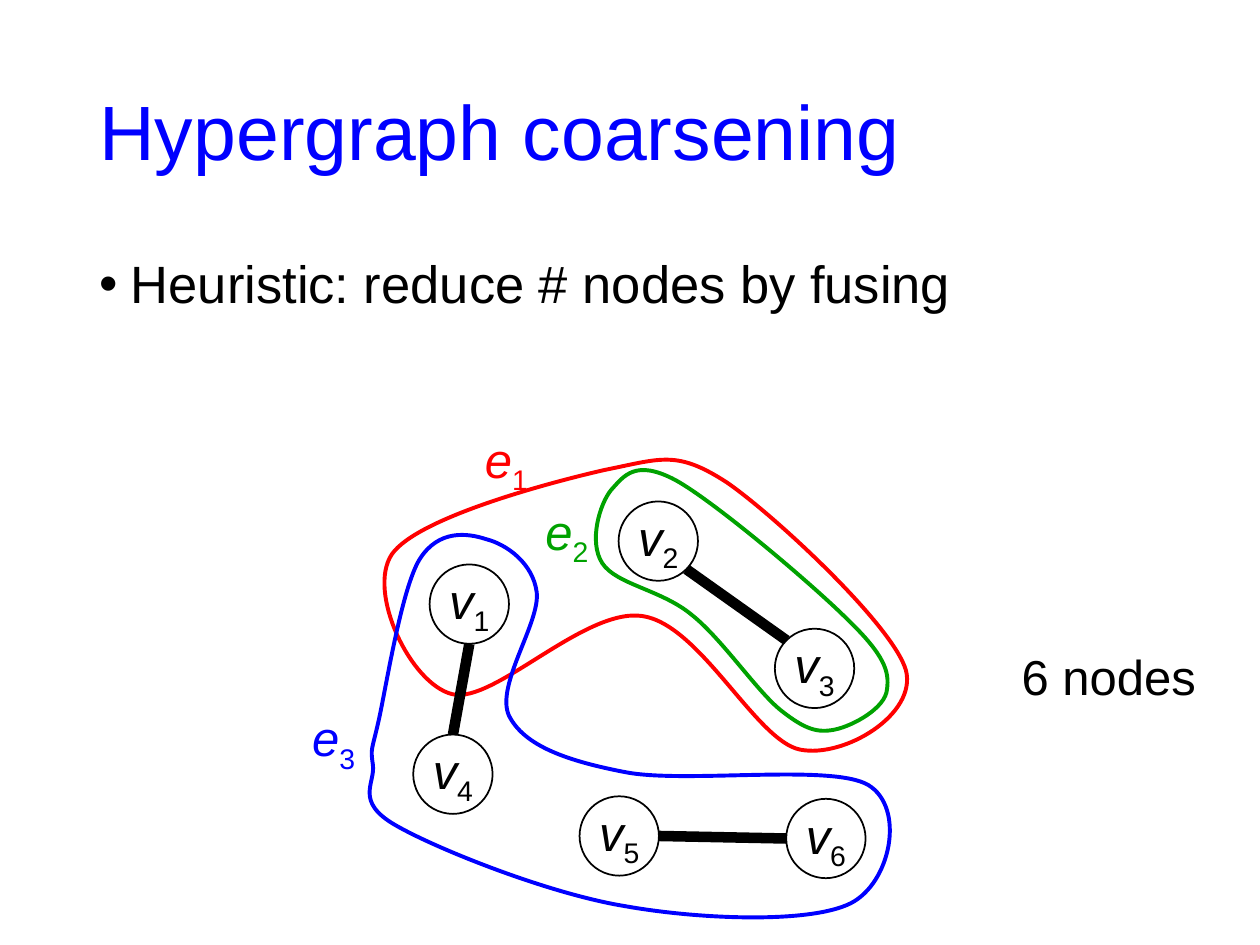
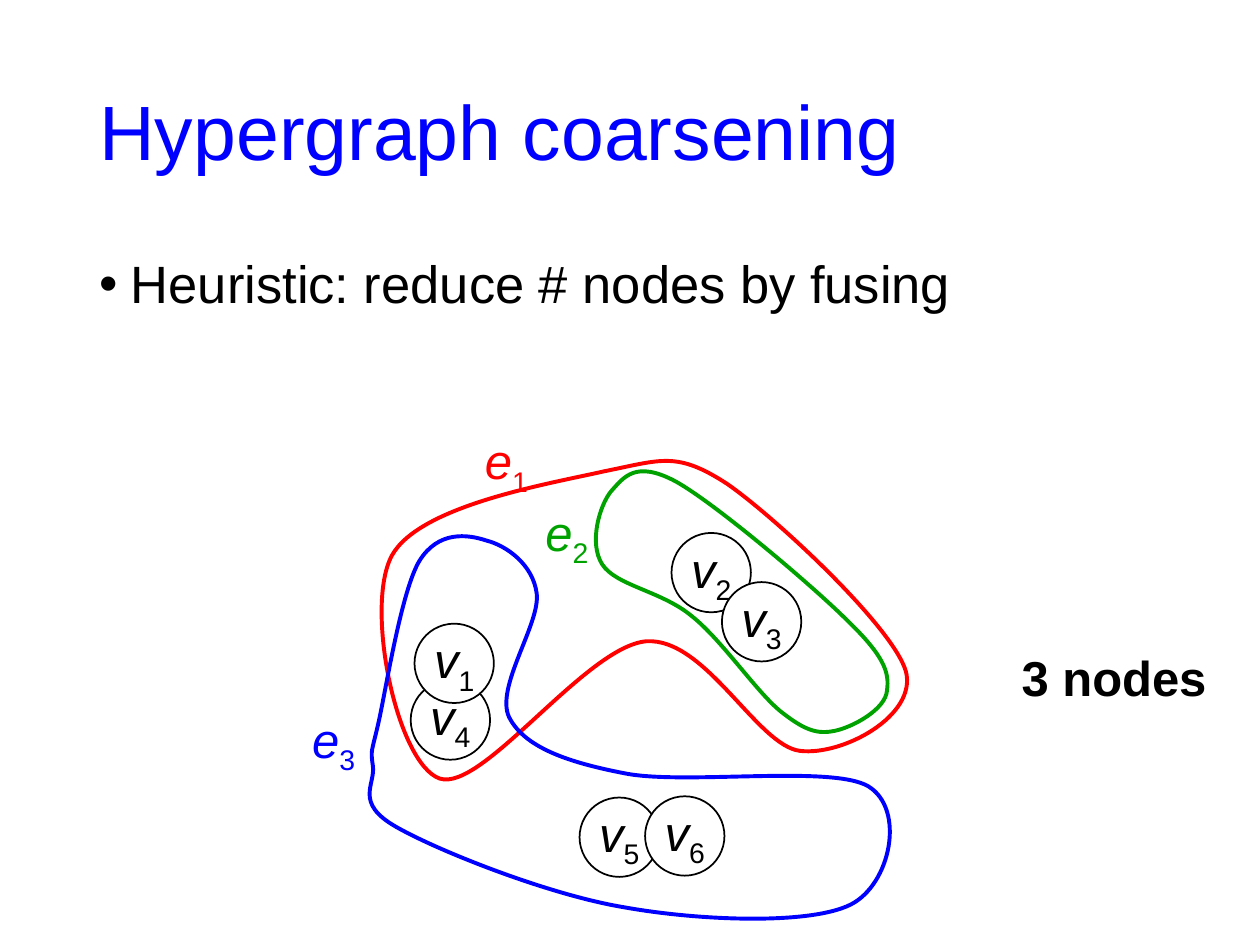
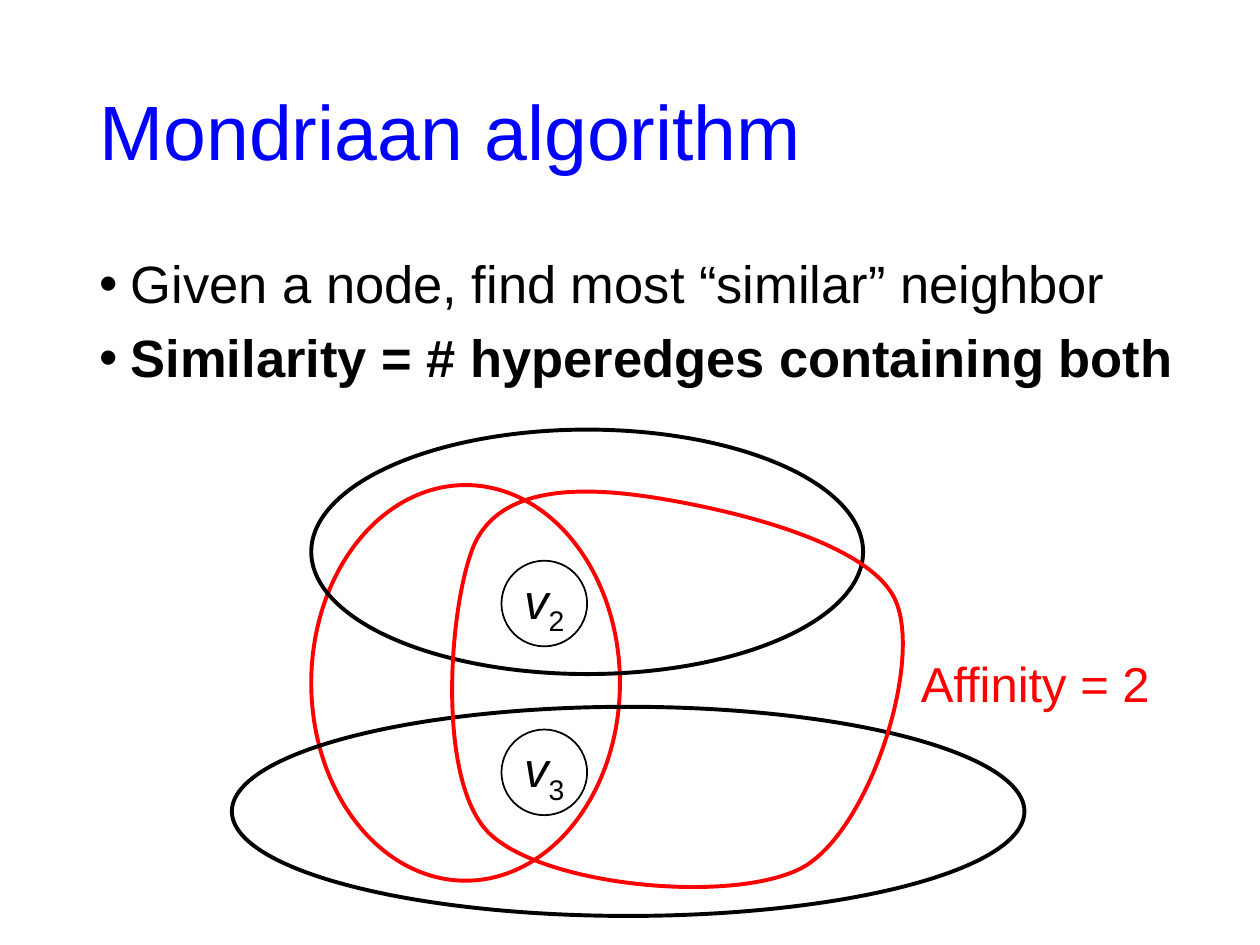
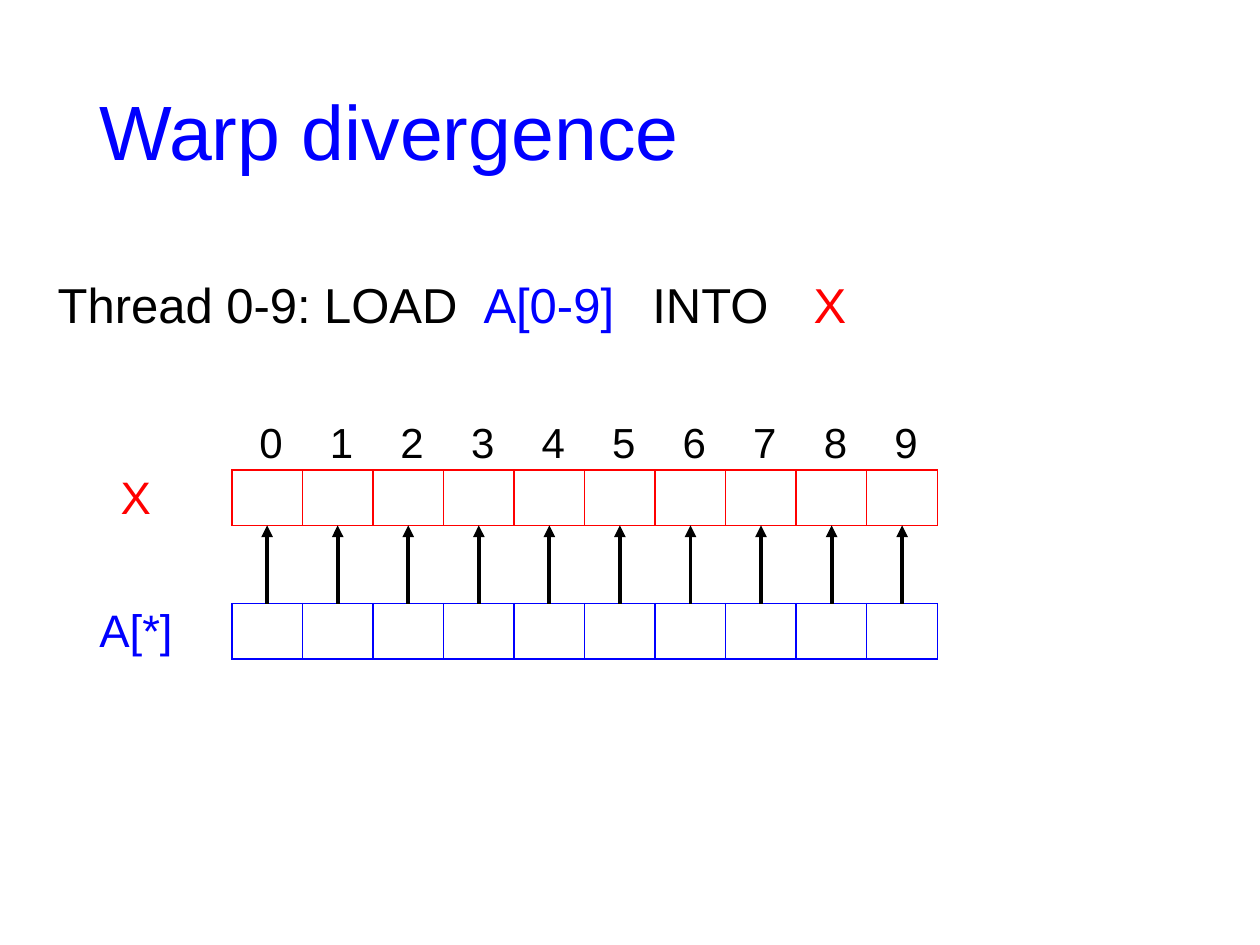
from itertools import chain
from math import cos, radians, sin

from lxml.etree import SubElement
from pptx import Presentation
from pptx.dml.color import RGBColor
from pptx.enum.shapes import MSO_CONNECTOR, MSO_SHAPE
from pptx.enum.text import MSO_ANCHOR, MSO_AUTO_SIZE, PP_ALIGN
from pptx.oxml.ns import qn
from pptx.util import Pt

PX = 9144  # 100 px to the inch
FONT = "Arial"
BLACK, WHITE, RED, GREEN, BLUE = "000000", "FFFFFF", "FF0000", "00A200", "0000FF"
TITLE_BOX = (69, 35, 862, 145)
BODY_LEFT, BODY_TOP, BODY_HEIGHT = 69, 200, 476
OUTLINE, THIN, THICK = 2.25, 1, 6

# A curve is its start, then (control, control, end) for each segment.
E1_BEFORE = [(480, 373),
             (436, 383, 331, 411, 311, 440), (291, 470, 326, 543, 359, 551),
             (392, 559, 464, 482, 510, 489), (556, 496, 600, 588, 635, 595),
             (670, 602, 728, 567, 719, 532), (709, 497, 616, 410, 577, 383),
             (537, 357, 525, 364, 480, 373)]
E1_AFTER = [(480, 373),
            (436, 383, 333, 400, 311, 440), (289, 481, 315, 605, 349, 617),
            (383, 628, 465, 512, 513, 508), (560, 505, 601, 591, 635, 595),
            (669, 599, 728, 567, 719, 532), (709, 497, 616, 410, 577, 383),
            (537, 357, 525, 364, 480, 373)]
E2 = [(485, 389),
      (476, 400, 467, 430, 478, 447), (489, 464, 525, 468, 549, 488),
      (573, 507, 601, 549, 620, 564), (639, 579, 649, 582, 663, 579),
      (677, 576, 703, 562, 704, 547), (706, 533, 702, 520, 673, 492),
      (645, 464, 567, 398, 536, 381), (504, 364, 495, 378, 485, 389)]
E3 = [(301, 570),
      (295, 597, 294, 593, 296, 607), (298, 622, 281, 636, 314, 655),
      (347, 674, 435, 709, 495, 719), (556, 730, 643, 733, 675, 717),
      (707, 701, 719, 641, 689, 623), (660, 606, 545, 622, 497, 613),
      (450, 604, 416, 592, 404, 568), (393, 544, 429, 494, 426, 470),
      (423, 447, 402, 432, 386, 428), (371, 423, 348, 420, 333, 444),
      (319, 467, 307, 542, 301, 570)]
SHARED_EDGE = [(513, 394),
               (457, 386, 398, 387, 377, 431), (357, 475, 345, 618, 388, 661),
               (432, 704, 584, 718, 638, 688), (691, 657, 732, 526, 711, 477),
               (690, 428, 568, 402, 513, 394)]

EDGE_LABELS = [("1", RED, (375, 336, 71, 57)),
               ("2", GREEN, (423, 393, 58, 53)),
               ("3", BLUE, (238, 557, 67, 57))]
COARSENING = {"title": "Hypergraph coarsening",
              "bullets": [("Heuristic: reduce # nodes by fusing", False)]}
BEFORE = {"e1": E1_BEFORE, "drop": 0, "count": ("6 nodes", False, 171),
          "nodes": {"2": (491, 398), "1": (341, 448), "3": (615, 499),
                    "5": (460, 632), "6": (624, 634), "4": (328, 583)},
          # node, angle on its rim (clockwise from the right), twice
          "fusions": [("1", 90, "4", -90), ("5", 0, "6", 180), ("3", 225, "2", 45)]}
AFTER = {"e1": E1_AFTER, "drop": 1, "count": ("3 nodes", True, 180),
         "nodes": {"2": (533, 423), "3": (573, 462), "5": (460, 633),
                   "6": (512, 632), "4": (326, 540), "1": (329, 495)},
         "fusions": []}
NODE = 63

SIMILARITY = {"title": "Mondriaan algorithm",
              "bullets": [("Given a node, find most “similar” neighbor", False),
                          ("Similarity = # hyperedges containing both", True)],
              "nodes": {"2": (398, 445), "3": (398, 579)},
              "ovals": [((247, 385, 245, 314), RED), ((247, 341, 438, 194), BLACK),
                        ((184, 561, 629, 166), BLACK)],
              "affinity": ("Affinity = 2", (721, 514, 204, 57))}
SIMILAR_NODE = 68

LOAD_LINE = [("Thread 0-9: LOAD\t", BLACK), ("A[0-9]\t", BLUE),
             ("INTO\t", BLACK), ("X", RED)]
LOAD_TABS = (338, 472, 600)
ARRAYS = [("X", RED, 373, (86, 367, 45, 54)),
          ("A[*]", BLUE, 479, (69, 473, 79, 54))]
LANES, LANE_LEFT, LANE_WIDTH, LANE_HEIGHT = 10, 184, 56, 44


def emu(*lengths):
    return [round(length * PX) for length in lengths]


def color(hex_string):
    return RGBColor.from_string(hex_string)


def set_line(shape, hex_string, width):
    shape.line.color.rgb = color(hex_string)
    shape.line.width = Pt(width)


def write(paragraph, runs, size, bold=False, align=None):
    """Fill a paragraph with (text, colour) runs."""
    font = paragraph.font
    font.name, font.size, font.bold = FONT, Pt(size), bold
    paragraph.alignment = align
    for text, hex_string in runs:
        run = paragraph.add_run()
        run.text = text
        run.font.color.rgb = color(hex_string)


def write_symbol(paragraph, letter, index, hex_string, align=None):
    """Write an italic letter with an upright subscript."""
    write(paragraph, [(letter, hex_string), (index, hex_string)], 28, align=align)
    symbol, subscript = paragraph.runs
    symbol.font.italic = True
    subscript.font.italic = False
    subscript.font._element.set("baseline", "-25000")


def add_box(slide, box, wrap=True, grow=True):
    frame = slide.shapes.add_textbox(*emu(*box)).text_frame
    frame.word_wrap = wrap
    frame.auto_size = MSO_AUTO_SIZE.SHAPE_TO_FIT_TEXT if grow else MSO_AUTO_SIZE.NONE
    return frame


def add_label(slide, text, hex_string, box, size=28, bold=False, wrap=False, align=None):
    write(add_box(slide, box, wrap).paragraphs[0], [(text, hex_string)], size, bold, align)


def add_slide(deck, title):
    slide = deck.slides.add_slide(deck.slide_layouts[6])
    frame = add_box(slide, TITLE_BOX, grow=False)
    frame.vertical_anchor = MSO_ANCHOR.MIDDLE
    heading = frame.paragraphs[0]
    heading.line_spacing = 0.9
    write(heading, [(title, BLUE)], 44)
    return slide


def add_bullets(slide, bullets, width):
    frame = add_box(slide, (BODY_LEFT, BODY_TOP, width, BODY_HEIGHT), grow=False)
    for number, (text, bold) in enumerate(bullets):
        paragraph = frame.add_paragraph() if number else frame.paragraphs[0]
        paragraph.line_spacing, paragraph.space_before = 0.9, Pt(10)
        props = paragraph._p.get_or_add_pPr()
        props.set("marL", str(25 * PX))
        props.set("indent", str(-25 * PX))
        SubElement(props, qn("a:buFont")).set("typeface", FONT)
        SubElement(props, qn("a:buChar")).set("char", "•")
        write(paragraph, [(text, BLACK)], 30, bold)


def add_oval(slide, box, hex_string, width, fill=None):
    oval = slide.shapes.add_shape(MSO_SHAPE.OVAL, *emu(*box))
    oval.shadow.inherit = False
    if fill:
        oval.fill.solid()
        oval.fill.fore_color.rgb = color(fill)
    else:
        oval.fill.background()
    set_line(oval, hex_string, width)
    return oval


def add_nodes(slide, nodes, size):
    for index, corner in nodes.items():
        frame = add_oval(slide, (*corner, size, size), BLACK, THIN, WHITE).text_frame
        frame.word_wrap = False
        frame.vertical_anchor = MSO_ANCHOR.MIDDLE
        write_symbol(frame.paragraphs[0], "v", index, BLACK, PP_ALIGN.CENTER)


def bezier(points, t):
    """Point at t on a cubic curve, by de Casteljau's rule."""
    while len(points) > 1:
        points = [tuple(a + (b - a) * t for a, b in zip(p, q))
                  for p, q in zip(points, points[1:])]
    return points[0]


def add_curve(slide, curve, hex_string, drop=0):
    """Draw a closed outline of cubic segments; sampling it gives its frame."""
    start, *segments = [[tuple(emu(x, y + drop)) for x, y in zip(part[::2], part[1::2])]
                        for part in curve]
    starts = [start[0]] + [segment[-1] for segment in segments]
    samples = [bezier([first, *segment], step / 16)
               for first, segment in zip(starts, segments) for step in range(1, 17)]
    builder = slide.shapes.build_freeform(*start[0])
    builder.add_line_segments([tuple(map(round, point)) for point in samples], close=True)
    outline = builder.convert_to_shape()
    outline.shadow.inherit = False
    outline.fill.background()
    set_line(outline, hex_string, OUTLINE)

    trace = next(outline.element.iter(qn("a:path")))
    for straight in trace.findall(qn("a:lnTo")):
        trace.remove(straight)
    close = trace.find(qn("a:close"))
    for segment in segments:
        cubic = SubElement(trace, qn("a:cubicBezTo"))
        for x, y in segment:
            point = SubElement(cubic, qn("a:pt"))
            point.set("x", str(x - outline.left))
            point.set("y", str(y - outline.top))
    trace.append(close)


def add_line(slide, start, end, width, arrow=False):
    line = slide.shapes.add_connector(MSO_CONNECTOR.STRAIGHT, *emu(*chain(start, end)))
    set_line(line, BLACK, width)
    props = line.element.spPr
    if arrow:
        SubElement(props.find(qn("a:ln")), qn("a:tailEnd")).set("type", "triangle")
    SubElement(props, qn("a:effectLst"))


def rim(corner, angle):
    """Point on the edge of a node."""
    radius, turn = NODE / 2, radians(angle)
    return (corner[0] + radius * (1 + cos(turn)), corner[1] + radius * (1 + sin(turn)))


def add_coarsening(deck, stage):
    slide = add_slide(deck, COARSENING["title"])
    add_bullets(slide, COARSENING["bullets"], 862)
    nodes, drop = stage["nodes"], stage["drop"]
    add_nodes(slide, nodes, NODE)
    for curve, (index, hue, (left, top, width, height)) in zip((stage["e1"], E2, E3), EDGE_LABELS):
        add_curve(slide, curve, hue, drop)
        frame = add_box(slide, (left, top + drop, width, height))
        write_symbol(frame.paragraphs[0], "e", index, hue)
    for first, leave, second, arrive in stage["fusions"]:
        add_line(slide, rim(nodes[first], leave), rim(nodes[second], arrive), THICK)
    text, bold, width = stage["count"]
    add_label(slide, text, BLACK, (801, 508 + drop, width, 57), bold=bold)


def add_similarity(deck):
    slide = add_slide(deck, SIMILARITY["title"])
    add_bullets(slide, SIMILARITY["bullets"], 924)
    add_nodes(slide, SIMILARITY["nodes"], SIMILAR_NODE)
    for box, hue in SIMILARITY["ovals"]:
        add_oval(slide, box, hue, OUTLINE)
    add_curve(slide, SHARED_EDGE, RED)
    text, box = SIMILARITY["affinity"]
    add_label(slide, text, RED, box)


def add_array(slide, top, hue):
    box = (LANE_LEFT, top, LANES * LANE_WIDTH, LANE_HEIGHT)
    array = slide.shapes.add_table(1, LANES, *emu(*box)).table
    array.first_row = array.horz_banding = False
    for cell in array.iter_cells():
        props = cell._tc.get_or_add_tcPr()
        for side in ("a:lnL", "a:lnR", "a:lnT", "a:lnB"):
            border = SubElement(props, qn(side))
            border.set("w", str(Pt(THIN)))
            SubElement(SubElement(border, qn("a:solidFill")), qn("a:srgbClr")).set("val", hue)
        cell.fill.background()


def add_divergence(deck):
    slide = add_slide(deck, "Warp divergence")
    for name, hue, top, box in ARRAYS:
        add_array(slide, top, hue)
        add_label(slide, name, hue, box, size=26)

    load = add_box(slide, (36, 213, 660, 57)).paragraphs[0]
    stops = SubElement(load._p.get_or_add_pPr(), qn("a:tabLst"))
    for position in LOAD_TABS:
        stop = SubElement(stops, qn("a:tab"))
        stop.set("pos", str(position * PX))
        stop.set("algn", "l")
    write(load, LOAD_LINE, 28)

    target, source = (top for _, _, top, _ in ARRAYS)
    for lane in range(LANES):
        center = LANE_LEFT + LANE_WIDTH // 2 + lane * LANE_WIDTH
        add_line(slide, (center, source), (center, target + LANE_HEIGHT), OUTLINE, arrow=True)
        add_label(slide, str(lane), BLACK, (center - 16, 326, 33, 50), size=24,
                  wrap=True, align=PP_ALIGN.CENTER)


def main():
    deck = Presentation()
    deck.slide_width, deck.slide_height = emu(1000, 750)
    for stage in (BEFORE, AFTER):
        add_coarsening(deck, stage)
    add_similarity(deck)
    add_divergence(deck)
    deck.save("out.pptx")


if __name__ == "__main__":
    main()
